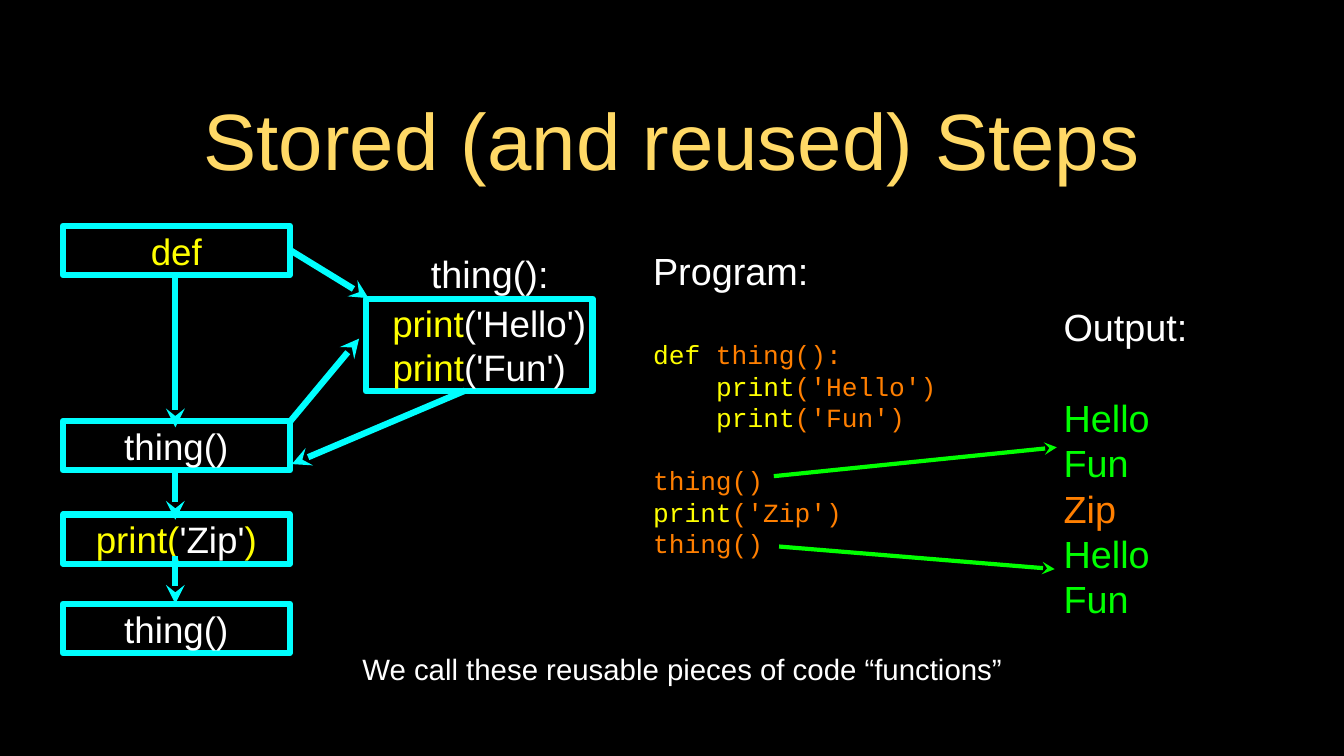
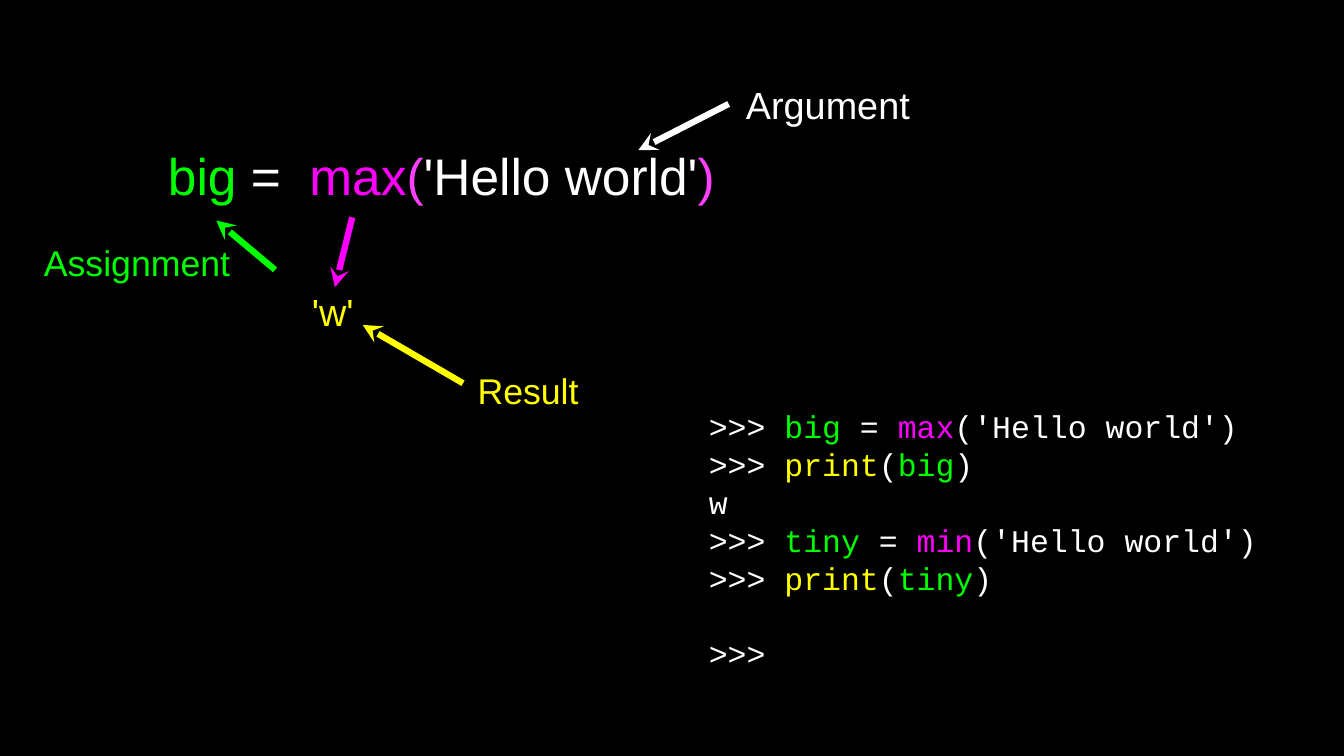
from dataclasses import dataclass

from lxml import etree
from pptx import Presentation
from pptx.dml.color import RGBColor
from pptx.enum import shapes, text
from pptx.oxml.ns import qn
from pptx.util import Pt

BLACK, WHITE, GOLD = "000000", "FFFFFF", "FFD966"
CYAN, YELLOW, GREEN = "00FFFF", "FFFF00", "00FF00"
ORANGE, MAGENTA, PINK = "FF7F00", "FF00FF", "FF40FF"
SANS, MONO = "Arial", "Courier New"
LEFT, CENTER = text.PP_ALIGN.LEFT, text.PP_ALIGN.CENTER
LINE_HEIGHT = 1.2


def color(hex_code):
    return RGBColor.from_string(hex_code)


@dataclass
class Line:
    """One paragraph: (text, colour) runs, with its size, gap above and indent."""
    runs: list
    size: float
    font: str = SANS
    gap: float = 0
    indent: float = 0


class Deck:
    """The shared style and the slide being drawn; all lengths in points."""

    def __init__(self):
        self.presentation = Presentation()
        self.presentation.slide_width = Pt(1280)
        self.presentation.slide_height = Pt(720)
        fill = self.presentation.slide_master.background.fill
        fill.solid()
        fill.fore_color.rgb = color(BLACK)
        self.slide = None

    def new_slide(self, layout):
        layouts = self.presentation.slide_layouts
        self.slide = self.presentation.slides.add_slide(layouts.get_by_name(layout))

    def set_text(self, shape, lines, align, inset=0):
        frame = shape.text_frame
        frame.word_wrap = True
        frame.auto_size = text.MSO_AUTO_SIZE.NONE
        frame.vertical_anchor = text.MSO_ANCHOR.MIDDLE
        frame.margin_left = frame.margin_right = Pt(inset)
        frame.margin_top = frame.margin_bottom = Pt(inset)
        for index, line in enumerate(lines):
            paragraph = frame.add_paragraph() if index else frame.paragraphs[0]
            paragraph.alignment = align
            paragraph.font.name = line.font
            paragraph.font.size = Pt(line.size)
            paragraph.line_spacing = Pt(line.size * LINE_HEIGHT)
            paragraph.space_before = Pt(line.gap)
            if line.indent:
                paragraph._p.get_or_add_pPr().set("marL", str(Pt(line.indent)))
            for words, hex_code in line.runs:
                run = paragraph.add_run()
                run.text = words
                run.font.color.rgb = color(hex_code)

    def title(self, words, left, top, width, height):
        shape = self.slide.shapes.title
        shape.left, shape.top = Pt(left), Pt(top)
        shape.width, shape.height = Pt(width), Pt(height)
        self.set_text(shape, [Line([(words, GOLD)], 76)], CENTER, inset=3)

    def text_block(self, lines, left, top, width, height, align=LEFT):
        shape = self.slide.shapes.add_textbox(Pt(left), Pt(top), Pt(width), Pt(height))
        self.set_text(shape, lines, align)

    def label(self, words, hex_code, size, left, top, width, height=49, align=CENTER):
        self.text_block([Line([(words, hex_code)], size)], left, top, width, height, align)

    def box(self, lines, left, top, width, height):
        shape = self.slide.shapes.add_shape(
            shapes.MSO_SHAPE.RECTANGLE, Pt(left), Pt(top), Pt(width), Pt(height))
        shape.shadow.inherit = False
        shape.fill.background()
        shape.line.color.rgb = color(CYAN)
        shape.line.width = Pt(6)
        self.set_text(shape, lines, CENTER)

    def arrow(self, start, end, hex_code, weight=6):
        points = [Pt(value) for value in (*start, *end)]
        connector = self.slide.shapes.add_connector(shapes.MSO_CONNECTOR.STRAIGHT, *points)
        connector.line.color.rgb = color(hex_code)
        connector.line.width = Pt(weight)
        properties = connector._element.spPr
        etree.SubElement(properties.find(qn("a:ln")), qn("a:tailEnd"), type="stealth")
        etree.SubElement(properties, qn("a:effectLst"))


def stored_steps(deck):
    deck.new_slide("Title Only")
    deck.title("Stored (and reused) Steps", 91, 63, 1097, 137)

    # Flow of steps, and the function they call
    steps = [
        (215, [("def", YELLOW)]),
        (401, [("thing()", WHITE)]),
        (490, [("print(", YELLOW), ("'Zip'", WHITE), (")", YELLOW)]),
        (575, [("thing()", WHITE)]),
    ]
    for top, runs in steps:
        deck.box([Line(runs, 35)], 60, top, 216, 47)
    deck.label("thing():", WHITE, 36, 397, 236, 139)
    deck.box([
        Line([("print", YELLOW), ("('Hello')", WHITE)], 35, indent=19),
        Line([("print", YELLOW), ("('Fun')", WHITE)], 35),
    ], 348.5, 284.5, 216, 88)

    # Arrows down the flow, then into and out of the function
    for start, end in [(261, 407), (450, 495), (530, 575)]:
        deck.arrow((167, start), (167, end), CYAN)
    deck.arrow((276, 238), (351, 284), CYAN)
    deck.arrow((275, 403), (342, 322.5), CYAN)
    deck.arrow((443, 372), (278, 442), CYAN)

    # Program and its output
    heading_gap = 36 * LINE_HEIGHT
    code_gap = 25 * LINE_HEIGHT
    deck.text_block([
        Line([("Program:", WHITE)], 36),
        Line([("def", YELLOW), (" thing():", ORANGE)], 25, MONO, gap=heading_gap),
        Line([("print", YELLOW), ("('Hello')", ORANGE)], 25, MONO, indent=60),
        Line([("print", YELLOW), ("('Fun')", ORANGE)], 25, MONO, indent=60),
        Line([("thing()", ORANGE)], 25, MONO, gap=code_gap),
        Line([("print", YELLOW), ("('Zip')", ORANGE)], 25, MONO),
        Line([("thing()", ORANGE)], 25, MONO),
    ], 622, 234, 282, 300)
    output = [("Hello", GREEN), ("Fun", GREEN), ("Zip", ORANGE),
              ("Hello", GREEN), ("Fun", GREEN)]
    lines = [Line([("Output:", WHITE)], 36)] + [Line([run], 36) for run in output]
    lines[1].gap = heading_gap
    deck.text_block(lines, 1013, 293, 249, 295)
    deck.arrow((737, 453.5), (1006.5, 426), GREEN, weight=4)
    deck.arrow((742, 520.5), (1004.5, 542), GREEN, weight=4)

    deck.label("We call these reusable pieces of code “functions”", WHITE, 28, 303, 612, 693)


def max_function(deck):
    deck.new_slide("Blank")

    # Annotated expression
    deck.text_block([Line([
        ("big", GREEN), (" =  ", WHITE), ("max", MAGENTA),
        ("(", PINK), ("'Hello world'", WHITE), (")", PINK),
    ], 49)], 160, 135, 534, 64)
    deck.label("Argument", WHITE, 36, 694, 75, 189)
    deck.arrow((694, 99), (608, 143), WHITE)
    deck.label("Assignment", GREEN, 34, 27, 225, 207)
    deck.arrow((262, 257), (206, 210), GREEN)
    deck.label("'w'", YELLOW, 36, 297, 272, 48, align=LEFT)
    deck.arrow((335.5, 207), (319, 273.5), MAGENTA)
    deck.label("Result", YELLOW, 34, 453, 347, 100)
    deck.arrow((441, 365), (345.5, 309.5), YELLOW)

    # Interactive session
    prompt = (">>> ", WHITE)

    def assign(name, function):
        return [prompt, (name, GREEN), (" = ", WHITE), (function, MAGENTA),
                ("('Hello world')", WHITE)]

    def show(name):
        return [prompt, ("print", YELLOW), ("(", WHITE), (name, GREEN), (")", WHITE)]

    session = [assign("big", "max"), show("big"), [("w", WHITE)],
               assign("tiny", "min"), show("tiny"), [(">>>", WHITE)]]
    lines = [Line(runs, 30, MONO) for runs in session]
    lines[-1].gap = 30 * LINE_HEIGHT
    deck.text_block(lines, 675, 384, 550, 260)


def main():
    deck = Deck()
    stored_steps(deck)
    max_function(deck)
    deck.presentation.save("out.pptx")


if __name__ == "__main__":
    main()
